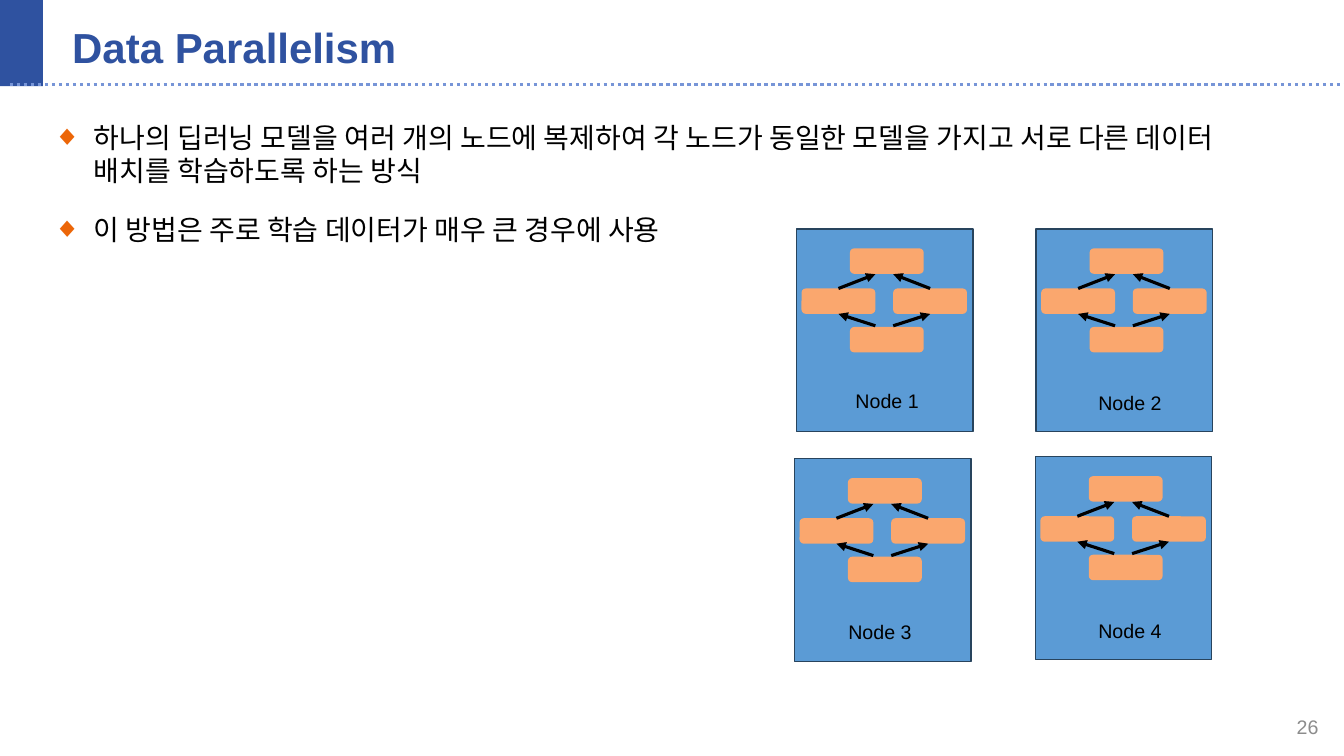
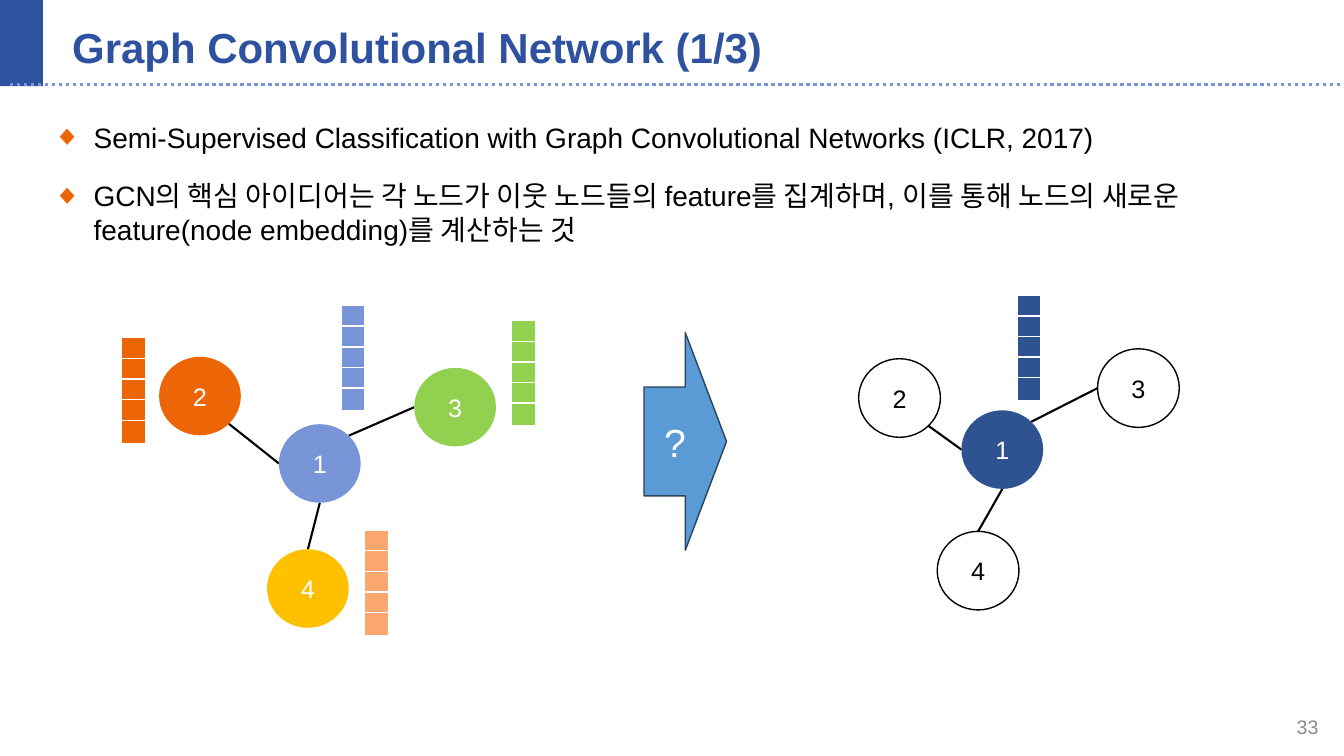
"""Build two lecture slides on data parallelism and graph convolution."""
import math

from lxml import etree
from pptx import Presentation
from pptx.dml.color import RGBColor
from pptx.enum import dml, shapes, text
from pptx.oxml import ns
from pptx.util import Cm, Pt

FONT = "Arial"
BLACK = RGBColor(0x00, 0x00, 0x00)
WHITE = RGBColor(0xFF, 0xFF, 0xFF)
GRAY = RGBColor(0x8C, 0x8C, 0x8C)
TITLE_BLUE = RGBColor(0x2F, 0x52, 0xA0)
NAVY = RGBColor(0x2F, 0x52, 0x91)
PERIWINKLE = RGBColor(0x77, 0x95, 0xD7)
SKY = RGBColor(0x5B, 0x9B, 0xD5)
SLATE = RGBColor(0x28, 0x44, 0x5D)
ORANGE = RGBColor(0xEC, 0x66, 0x08)
PEACH = RGBColor(0xFA, 0xA7, 0x6E)
GREEN = RGBColor(0x92, 0xD0, 0x50)
AMBER = RGBColor(0xFF, 0xC0, 0x00)

SHAPE = shapes.MSO_SHAPE
ALIGN = text.PP_ALIGN
ANCHOR = text.MSO_ANCHOR

BLOCK_W, BLOCK_H = 1.86, 0.64
CIRCLE_W, CIRCLE_H = 2.06, 1.98
CELL_W, CELL_H, CELL_STEP, CELL_COUNT = 0.61, 0.58, 0.52, 5
RIGHT, LOWER_RIGHT, DOWN, LEFT, UP, UPPER_RIGHT = 0, 45, 90, 180, 270, 315


def format_runs(p, size, color, bold=False):
    for r in p.runs:
        r.font.name = FONT
        r.font.size = Pt(size)
        r.font.bold = bold
        r.font.color.rgb = color


def add_text(s, x, y, w, h, content, size, color, bold=False,
             align=ALIGN.LEFT, anchor=ANCHOR.TOP):
    tf = s.shapes.add_textbox(Cm(x), Cm(y), Cm(w), Cm(h)).text_frame
    tf.word_wrap = True
    tf.vertical_anchor = anchor
    tf.text = content
    for p in tf.paragraphs:
        p.alignment = align
        format_runs(p, size, color, bold)
    return tf


def add_box(s, kind, x, y, w, h, fill=None, line=None, label="", size=18,
            color=WHITE):
    sp = s.shapes.add_shape(kind, Cm(x), Cm(y), Cm(w), Cm(h))
    sp.shadow.inherit = False
    if fill is None:
        sp.fill.background()
    else:
        sp.fill.solid()
        sp.fill.fore_color.rgb = fill
    if line is None:
        sp.line.fill.background()
    else:
        sp.line.color.rgb = line
        sp.line.width = Pt(1)
    if label:
        tf = sp.text_frame
        tf.text = label
        tf.vertical_anchor = ANCHOR.MIDDLE
        tf.paragraphs[0].alignment = ALIGN.CENTER
        format_runs(tf.paragraphs[0], size, color)
    return sp


def add_line(s, start, end, width, color=BLACK, arrow=False):
    c = s.shapes.add_connector(shapes.MSO_CONNECTOR.STRAIGHT,
                               *(Cm(v) for v in (*start, *end)))
    c.line.color.rgb = color
    c.line.width = Pt(width)
    if arrow:
        etree.SubElement(c.line._get_or_add_ln(), ns.qn("a:tailEnd"), type="triangle")
    etree.SubElement(c._element.spPr, ns.qn("a:effectLst"))
    return c


def add_bullets(s, items):
    tf = add_text(s, 1.09, 2.9, 31.7, 14.25, "\n".join(items), 20, BLACK)
    indent = Cm(1.02)
    for p in tf.paragraphs:
        p.space_before = Pt(18)
        pPr = p._p.get_or_add_pPr()
        pPr.set("marL", str(indent))
        pPr.set("indent", str(-indent))
        bullet_color = etree.SubElement(pPr, ns.qn("a:buClr"))
        etree.SubElement(bullet_color, ns.qn("a:srgbClr"), val=str(ORANGE))
        etree.SubElement(pPr, ns.qn("a:buFont"), typeface=FONT)
        etree.SubElement(pPr, ns.qn("a:buChar"), char="◆")


def add_base_slide(prs, title, bullets, number):
    s = prs.slides.add_slide(prs.slide_layouts[6])
    add_box(s, SHAPE.RECTANGLE, 0, 0, 1.08, 2.17, TITLE_BLUE)
    rule = add_line(s, (0.25, 2.13), (33.87, 2.13), 2.5, PERIWINKLE)
    rule.line.dash_style = dml.MSO_LINE.ROUND_DOT
    add_text(s, 1.57, 0.51, 29.21, 1.35, title, 30, TITLE_BLUE, True,
             anchor=ANCHOR.MIDDLE)
    add_bullets(s, bullets)
    add_text(s, 25.86, 17.81, 7.62, 1.02, str(number), 14, GRAY,
             align=ALIGN.RIGHT, anchor=ANCHOR.MIDDLE)
    return s


def add_compute_node(s, x, y):
    add_box(s, SHAPE.RECTANGLE, x, y, 4.45, 5.11, SKY, SLATE)
    offsets = ((1.35, 0.49), (1.35, 2.47), (0.13, 1.5), (2.44, 1.5))
    _, _, *sides = [add_box(s, SHAPE.ROUNDED_RECTANGLE, x + dx, y + dy,
                            BLOCK_W, BLOCK_H, PEACH) for dx, dy in offsets]
    for side, dx in zip(sides, (1.99, 2.44)):
        top, bottom = (x + dx, y + 1.14), (x + dx, y + 2.44)
        add_line(s, top, top, 2.25, arrow=True).begin_connect(side, 0)
        add_line(s, bottom, bottom, 2.25, arrow=True).end_connect(side, 2)


def rim_point(center, degrees):
    angle = math.radians(degrees)
    return (center[0] + CIRCLE_W / 2 * math.cos(angle),
            center[1] + CIRCLE_H / 2 * math.sin(angle))


def add_graph(s, centers, fills):
    edges = ((UPPER_RIGHT, 3, LEFT), (LEFT, 2, LOWER_RIGHT), (DOWN, 4, UP))
    for start, target, end in edges:
        add_line(s, rim_point(centers[0], start),
                 rim_point(centers[target - 1], end), 1.5)
    for i, ((x, y), fill) in enumerate(zip(centers, fills), 1):
        outline, color = (BLACK, BLACK) if fill is None else (None, WHITE)
        add_box(s, SHAPE.OVAL, x - CIRCLE_W / 2, y - CIRCLE_H / 2,
                CIRCLE_W, CIRCLE_H, fill, outline, str(i), color=color)


def add_feature_column(s, x, y, fill):
    for i in range(CELL_COUNT):
        add_box(s, SHAPE.RECTANGLE, x, y + i * CELL_STEP, CELL_W, CELL_H,
                fill, WHITE)


def add_parallelism_slide(prs):
    s = add_base_slide(prs, "Data Parallelism", (
        "하나의 딥러닝 모델을 여러 개의 노드에 복제하여 각 노드가 동일한 모델을 가지고 서로 다른 데이터 배치를 학습하도록 하는 방식",
        "이 방법은 주로 학습 데이터가 매우 큰 경우에 사용"), 26)
    nodes = (((20.07, 5.77), (21.31, 9.68)), ((26.11, 5.77), (27.43, 9.73)),
             ((20.02, 11.56), (21.13, 15.49)), ((26.09, 11.51), (27.43, 15.47)))
    for i, (corner, caption) in enumerate(nodes, 1):
        add_compute_node(s, *corner)
        add_text(s, *caption, 2.72, 0.86, f"Node {i}", 14, BLACK)


def add_gcn_slide(prs):
    s = add_base_slide(prs, "Graph Convolutional Network (1/3)", (
        "Semi-Supervised Classification with Graph Convolutional Networks (ICLR, 2017)",
        "GCN의 핵심 아이디어는 각 노드가 이웃 노드들의 feature를 집계하며, 이를 통해 노드의 새로운 feature(node embedding)를 계산하는 것"), 33)
    add_graph(s, ((8.06, 11.68), (5.04, 9.98), (11.47, 10.26), (7.76, 14.83)),
              (PERIWINKLE, ORANGE, GREEN, AMBER))
    add_graph(s, ((25.26, 11.33), (22.67, 10.03), (28.69, 9.78), (24.65, 14.38)),
              (NAVY, None, None, None))
    for column in ((8.59, 7.7, PERIWINKLE), (3.07, 8.51, ORANGE),
                   (12.88, 8.08, GREEN), (9.19, 13.36, PEACH),
                   (25.63, 7.44, NAVY)):
        add_feature_column(s, *column)
    add_box(s, SHAPE.RIGHT_ARROW, 16.23, 8.38, 2.08, 5.49, SKY, SLATE, "?", 28)


def main():
    prs = Presentation()
    prs.slide_width, prs.slide_height = Cm(33.87), Cm(19.05)
    add_parallelism_slide(prs)
    add_gcn_slide(prs)
    prs.save("out.pptx")


if __name__ == "__main__":
    main()
